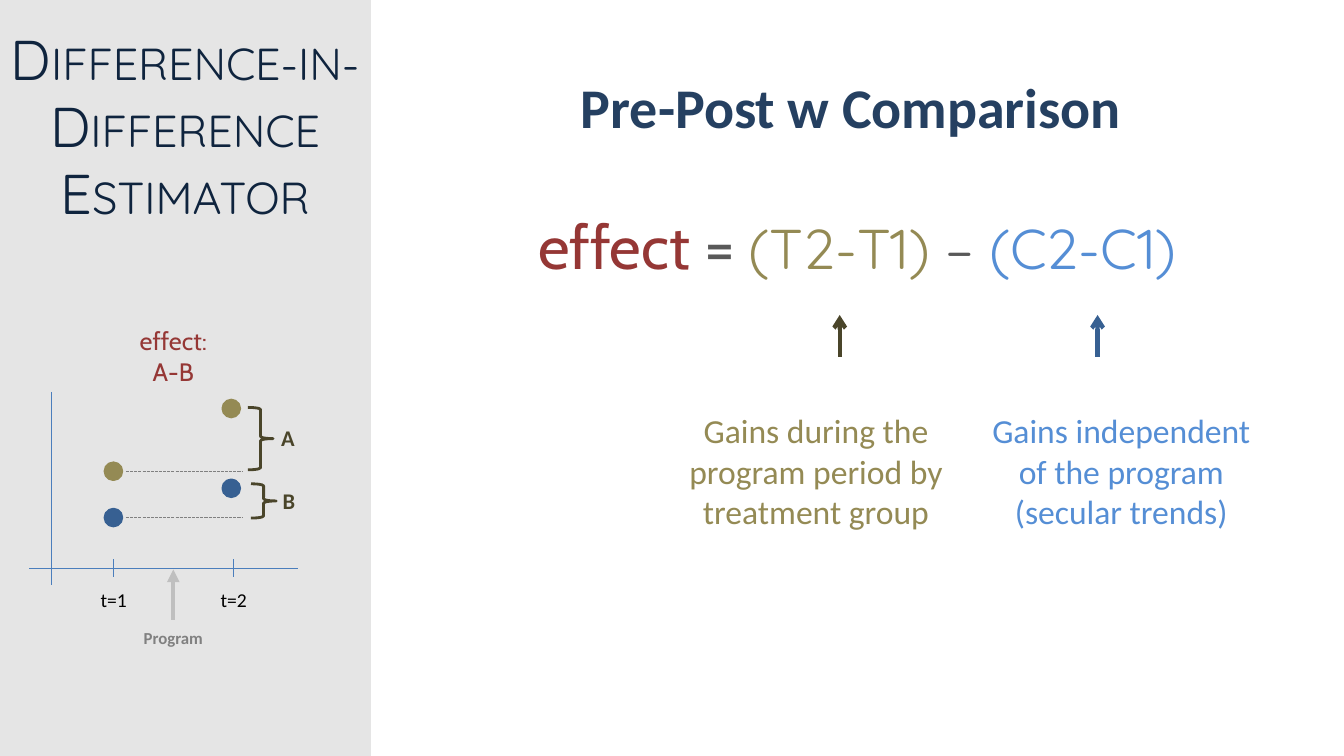
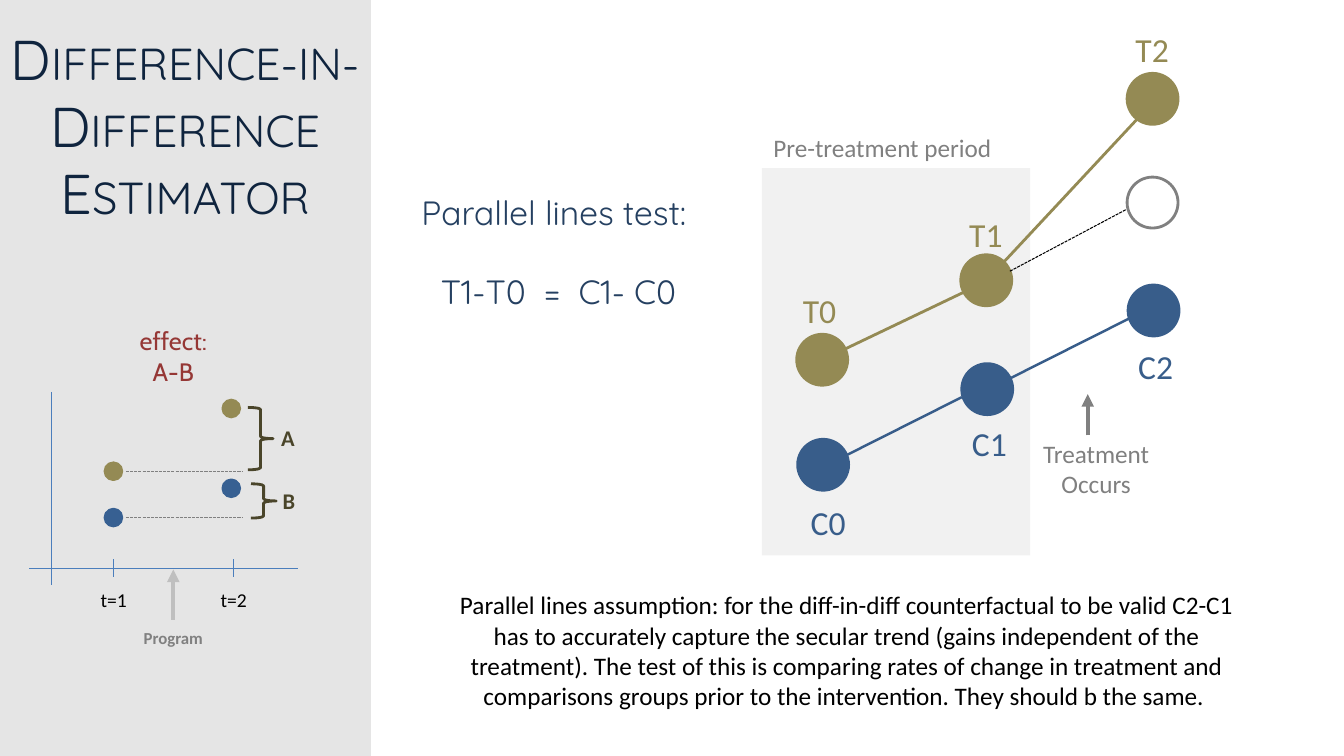
from dataclasses import dataclass

from lxml import etree
from pptx import Presentation
from pptx.dml.color import RGBColor
from pptx.enum import dml, shapes, text
from pptx.oxml import ns
from pptx.util import Pt

HUES = {
    "navy": "0F243E", "ink": "254061", "red": "953735", "dark": "595959",
    "gold": "948A54", "sky": "558ED5", "blue": "376092", "steel": "385D8A",
    "axis": "4B7EBC", "grey": "808080", "pale": "BFBFBF", "olive": "4A452A",
    "black": "000000", "white": "FFFFFF",
}
FORMS = shapes.MSO_SHAPE


@dataclass
class Run:
    words: str
    size: float
    hue: str
    font: str = "Calibri"
    bold: bool = False
    caps: bool = False


@dataclass
class Stroke:
    start: tuple[float, float]
    end: tuple[float, float]
    hue: str
    width: float
    head: str = ""
    dash: bool = False


@dataclass
class Dot:
    x: float
    y: float
    fill: str
    line: str


@dataclass
class Node:
    """A named group average with the height of its label."""
    name: str
    x: float
    y: float
    hue: str
    tag: tuple[float, float]


def rgb(hue: str) -> RGBColor:
    return RGBColor.from_string(HUES[hue])


def write(slide, box: tuple, lines: list[list[Run]], wrap: bool = False,
          gap: float = 0, inset: float = 7.2) -> None:
    """Add centred text; gap is the space after each line but the last."""
    frame = slide.shapes.add_textbox(*map(Pt, box)).text_frame
    frame.word_wrap = wrap
    frame.margin_left = frame.margin_right = Pt(inset)
    for i, line in enumerate(lines):
        para = frame.add_paragraph() if i else frame.paragraphs[0]
        para.alignment = text.PP_ALIGN.CENTER
        if i < len(lines) - 1:
            para.space_after = Pt(gap)
        for part in line:
            run = para.add_run()
            run.text = part.words
            font = run.font
            font.name, font.size, font.bold = part.font, Pt(part.size), part.bold
            font.color.rgb = rgb(part.hue)
            if part.caps:
                font._element.set("cap", "small")


def shape(slide, form, box: tuple, fill: str = "", line: str = "",
          alpha: int = 100) -> None:
    item = slide.shapes.add_shape(form, *map(Pt, box))
    item.shadow.inherit = False
    if fill:
        item.fill.solid()
        item.fill.fore_color.rgb = rgb(fill)
        if alpha < 100:
            color = item._element.spPr.find(".//" + ns.qn("a:srgbClr"))
            etree.SubElement(color, ns.qn("a:alpha")).set("val", str(alpha * 1000))
    else:
        item.fill.background()
    if line:
        item.line.color.rgb = rgb(line)
        item.line.width = Pt(2)
    else:
        item.line.fill.background()


def circle(slide, dot: Dot, size: float) -> None:
    box = (dot.x - size / 2, dot.y - size / 2, size, size)
    shape(slide, FORMS.OVAL, box, dot.fill, dot.line)


def draw(slide, stroke: Stroke) -> None:
    item = slide.shapes.add_connector(
        shapes.MSO_CONNECTOR.STRAIGHT, *map(Pt, stroke.start + stroke.end))
    item.line.color.rgb = rgb(stroke.hue)
    item.line.width = Pt(stroke.width)
    if stroke.dash:
        item.line.dash_style = dml.MSO_LINE.SQUARE_DOT
    props = item._element.spPr
    if stroke.head:
        edge = props.find(ns.qn("a:ln"))
        etree.SubElement(edge, ns.qn("a:tailEnd")).set("type", stroke.head)
    etree.SubElement(props, ns.qn("a:effectLst"))


def chart(slide) -> None:
    """Draw the small before-and-after sketch in the side panel."""
    draw(slide, Stroke((36.7, 280), (36.7, 417.6), "axis", 0.75))
    draw(slide, Stroke((21, 406), (213, 406), "axis", 0.75))
    for x, y, hue in ((81, 369.7, "blue"), (165.2, 348.8, "blue"),
                      (81, 336.6, "gold"), (165.2, 291.8, "gold")):
        circle(slide, Dot(x, y, hue, hue), 12)
    for x, name in ((81.2, "t=1"), (167, "t=2")):
        draw(slide, Stroke((x, 399.6), (x, 411.8), "axis", 0.75))
        write(slide, (x - 17, 416.2, 34, 24.5), [[Run(name, 14, "black")]])
    draw(slide, Stroke((123.8, 442.8), (123.8, 406.8), "pale", 3, "triangle"))
    write(slide, (95, 445, 57.6, 21.6), [[Run("Program", 12, "grey", bold=True)]])
    for name, base, brace, spot in (
            ("A", 337, (177.1, 291, 18, 44.6), (193.7, 299.5)),
            ("B", 370, (179.3, 345.6, 18, 24.5), (194.4, 344.2))):
        draw(slide, Stroke((90, base), (172.8, base), "grey", 0.75, dash=True))
        shape(slide, FORMS.RIGHT_BRACE, brace, line="olive")
        write(slide, (*spot, 24, 26.6), [[Run(name, 16, "olive", bold=True)]])
    write(slide, (91.4, 229, 64.8, 51),
          [[Run(words, 18, "red", "Cabin")] for words in ("effect:", "A-B")])


def base(deck):
    """Add a blank slide with the shared side panel."""
    slide = deck.slides.add_slide(deck.slide_layouts[6])
    shape(slide, FORMS.RECTANGLE, (0, 0, 265, 540), "grey", alpha=20)
    title = Run("Difference-in-Difference Estimator", 40, "navy", "Quicksand", caps=True)
    write(slide, (0, 13.7, 264.4, 152.6), [[title]], wrap=True, inset=0)
    chart(slide)
    return slide


def effect(deck) -> None:
    slide = base(deck)
    write(slide, (365.8, 48.2, 493.2, 157.7), [
        [Run("Pre-Post w Comparison ", 40, "ink", bold=True)],
        [Run("effect", 44, "red", "Cabin"),
         Run(" = ", 44, "dark", "Cabin"),
         Run("(T2-T1) ", 40, "gold", "Quicksand"),
         Run("– ", 40, "dark", "Quicksand"),
         Run("(C2-C1)", 40, "sky", "Quicksand")],
    ], gap=49)
    for x, left, line, hue, words in (
            (599.8, 474.5, "olive", "gold",
             "Gains during the program period by treatment group"),
            (784, 692.6, "blue", "sky",
             "Gains independent of the program (secular trends)")):
        draw(slide, Stroke((x, 255), (x, 225), line, 3, "arrow"))
        write(slide, (left, 289.4, 216.7, 94.3), [[Run(words, 24, hue)]], wrap=True)


def trends(deck) -> None:
    slide = base(deck)
    shape(slide, FORMS.RECTANGLE, (544.3, 120.2, 191.5, 276.5), "pale", alpha=21)
    nodes = (
        Node("C0", 588, 332, "steel", (591.5, 373)),
        Node("T0", 587.3, 257, "gold", (585.4, 221.8)),
        Node("C1", 705.2, 278, "steel", (706.7, 316.8)),
        Node("T1", 704.5, 200.2, "gold", (704.2, 167)),
        Node("C2", 824, 221.8, "steel", (825.5, 261.4)),
        Node("T2", 823.3, 70.6, "gold", (823, 35.3)),
    )
    for node in nodes:
        x, y = node.tag
        circle(slide, Dot(node.x, node.y, node.hue, node.hue), 36.4)
        write(slide, (x - 19.8, y - 18, 39.6, 36), [[Run(node.name, 24, node.hue)]])
    circle(slide, Dot(823.3, 144.7, "white", "grey"), 36.4)
    for stroke in (
            Stroke((591, 332), (687, 283.7), "steel", 1.75),
            Stroke((589, 256.3), (706.3, 200.2), "gold", 2),
            Stroke((720.7, 270.7), (816.5, 222.5), "steel", 1.75),
            Stroke((706.3, 198.7), (825.8, 70.6), "gold", 2),
            Stroke((721.4, 193.7), (804.2, 149.8), "black", 0.75, dash=True),
            Stroke((777, 311), (777, 281.5), "grey", 3, "triangle")):
        draw(slide, stroke)
    note = ("Parallel lines assumption: for the diff-in-diff counterfactual to be "
            "valid C2-C1 has to accurately capture the secular trend (gains "
            "independent of the treatment). The test of this is comparing rates of "
            "change in treatment and comparisons groups prior to the intervention. "
            "They should b the same. ")
    write(slide, (319.7, 417.6, 570.2, 94.3), [[Run(note, 18, "black")]], wrap=True)
    write(slide, (270, 133.2, 257.8, 94.3),
          [[Run(words, 24, "ink", "Quicksand")]
           for words in ("Parallel lines test: ", "T1-T0  =  C1- C0")],
          wrap=True, gap=28)
    write(slide, (544.3, 90.7, 172, 28.8), [[Run("Pre-treatment period", 18, "grey")]])
    write(slide, (735.1, 309.6, 95.8, 51),
          [[Run("Treatment Occurs", 18, "grey")]], wrap=True)


def main() -> None:
    deck = Presentation()
    deck.slide_width, deck.slide_height = Pt(960), Pt(540)
    effect(deck)
    trends(deck)
    deck.save("out.pptx")


if __name__ == "__main__":
    main()
